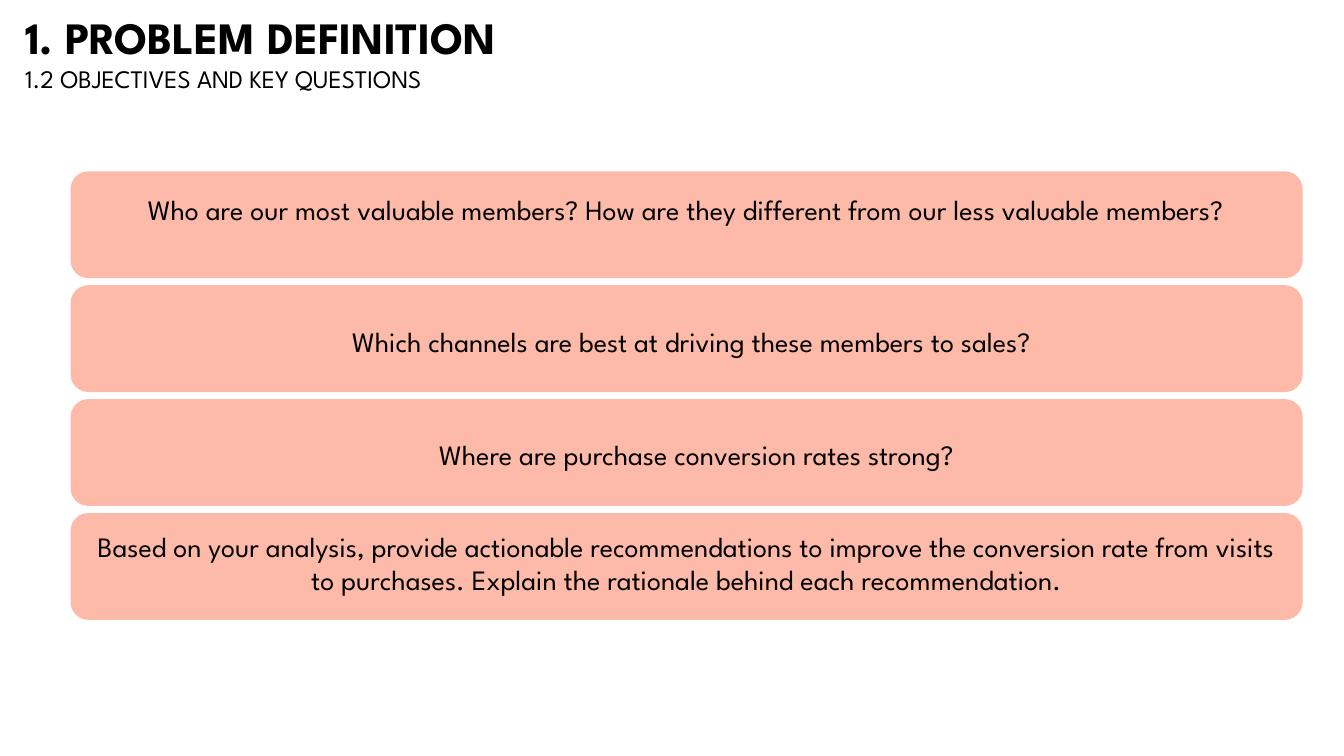
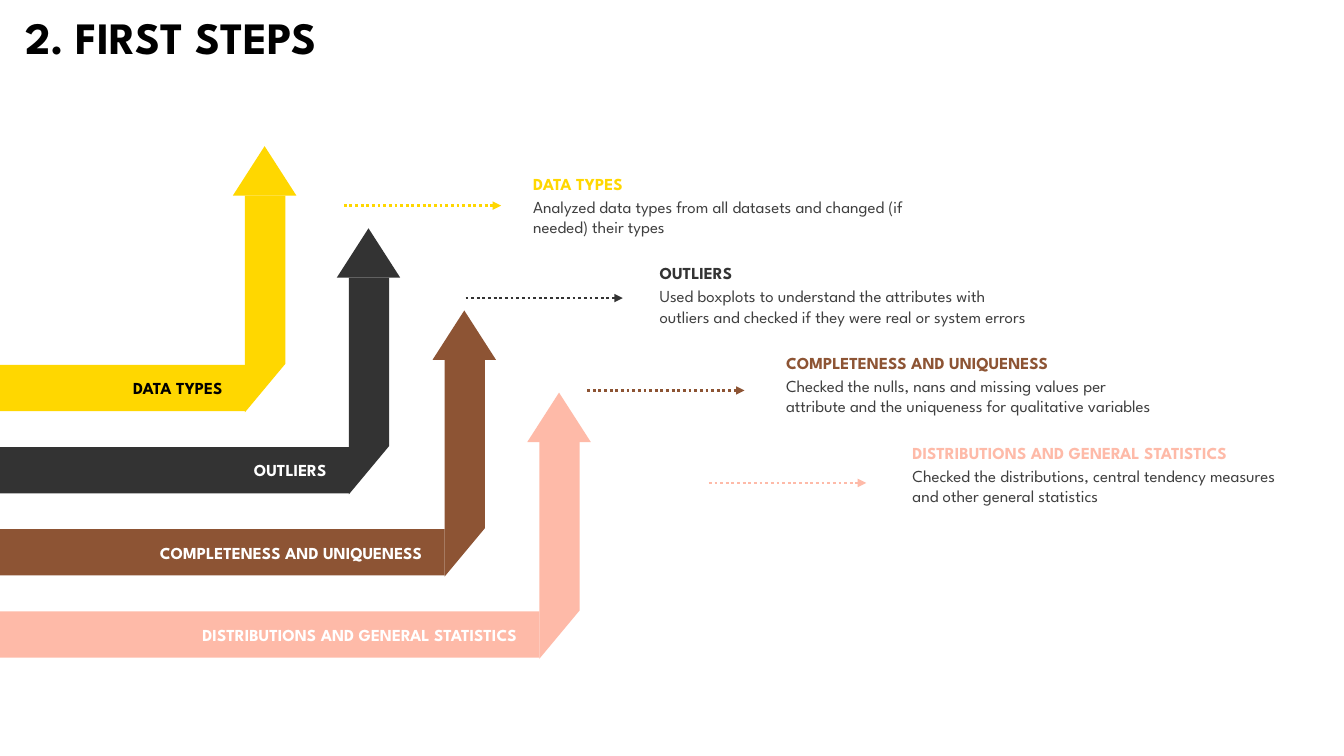
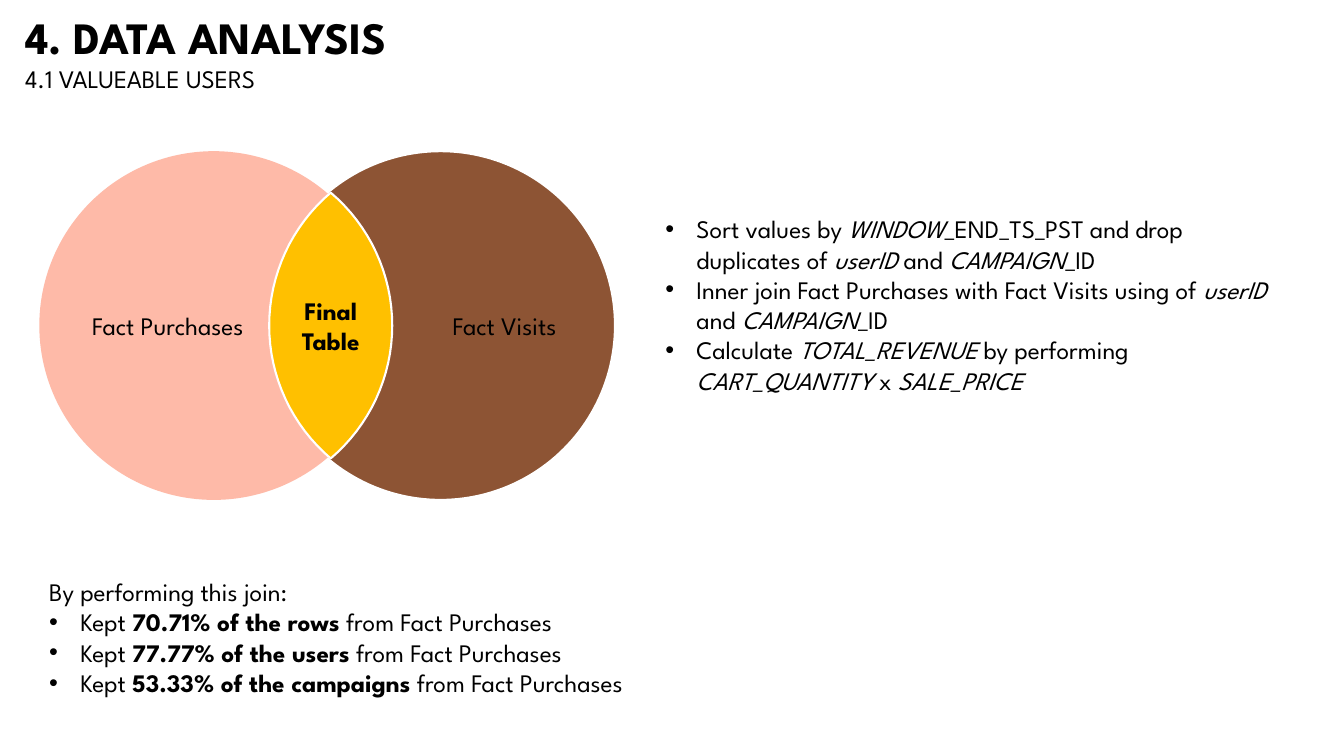
from dataclasses import dataclass
from math import asin, cos, pi, sin
from typing import NamedTuple, Optional, Sequence

from lxml.etree import SubElement
from pptx import Presentation
from pptx.dml.color import RGBColor
from pptx.enum.dml import MSO_LINE
from pptx.enum.shapes import MSO_CONNECTOR, MSO_SHAPE as Preset
from pptx.enum.text import MSO_ANCHOR as Anchor, PP_ALIGN as Align
from pptx.oxml.ns import qn
from pptx.util import Inches, Pt


@dataclass(frozen=True)
class Theme:
    font: str = "League Spartan"
    black: RGBColor = RGBColor(0, 0, 0)
    white: RGBColor = RGBColor(255, 255, 255)
    yellow: RGBColor = RGBColor.from_string("FFD700")
    charcoal: RGBColor = RGBColor.from_string("333333")
    brown: RGBColor = RGBColor.from_string("8D5434")
    salmon: RGBColor = RGBColor.from_string("FEBAA8")
    amber: RGBColor = RGBColor.from_string("FFC000")
    grey: RGBColor = RGBColor.from_string("404040")
    title_size: float = 32
    question_size: float = 20
    body_size: float = 18
    step_size: float = 12
    bullet_indent: float = 0.31


THEME = Theme()


class Box(NamedTuple):
    left: float
    top: float
    width: float
    height: float

    def emu(self) -> list:
        return [Inches(length) for length in self]


class Run(NamedTuple):
    text: str
    bold: bool = False
    italic: bool = False
    size: Optional[float] = None


class Para(NamedTuple):
    runs: Sequence[Run]
    bullet: bool = False


class Question(NamedTuple):
    text: str
    box: Box


class Step(NamedTuple):
    name: str
    detail: str
    colour: RGBColor
    label_colour: RGBColor
    arrow_left: float


def italic(text: str) -> Run:
    return Run(text, italic=True)


def bold(text: str) -> Run:
    return Run(text, bold=True)


def bullet(*runs: Run) -> Para:
    return Para(runs, bullet=True)


def add_bullet(paragraph) -> None:
    properties = paragraph._p.get_or_add_pPr()
    indent = Inches(THEME.bullet_indent)
    properties.set("marL", str(indent))
    properties.set("indent", str(-indent))
    SubElement(properties, qn("a:buFont")).set("typeface", "Arial")
    SubElement(properties, qn("a:buChar")).set("char", "•")


def fill_text(frame, paras: Sequence[Para], size: float,
              colour: RGBColor = THEME.black, align: Align = Align.LEFT) -> None:
    frame.word_wrap = True
    for index, para in enumerate(paras):
        paragraph = frame.add_paragraph() if index else frame.paragraphs[0]
        paragraph.alignment = align
        if para.bullet:
            add_bullet(paragraph)
        for part in para.runs:
            run = paragraph.add_run()
            run.text = part.text
            font = run.font
            font.name, font.size = THEME.font, Pt(part.size or size)
            font.bold, font.italic = part.bold, part.italic
            font.color.rgb = colour


def add_text(slide, box: Box, paras: Sequence[Para], size: float,
             colour: RGBColor = THEME.black, align: Align = Align.LEFT) -> None:
    frame = slide.shapes.add_textbox(*box.emu()).text_frame
    fill_text(frame, paras, size, colour, align)


def paint(shape, colour: RGBColor, outline: Optional[RGBColor] = None) -> None:
    shape.shadow.inherit = False
    shape.fill.solid()
    shape.fill.fore_color.rgb = colour
    if outline is None:
        shape.line.fill.background()
    else:
        shape.line.color.rgb = outline
        shape.line.width = Pt(1.5)


def add_preset(slide, kind: Preset, box: Box, colour: RGBColor,
               outline: Optional[RGBColor] = None):
    shape = slide.shapes.add_shape(kind, *box.emu())
    paint(shape, colour, outline)
    return shape


def add_outline(slide, points: Sequence[tuple], colour: RGBColor,
                outline: Optional[RGBColor] = None) -> None:
    """Draw a closed polygon through points given in inches."""
    corners = [(Inches(x), Inches(y)) for x, y in points]
    builder = slide.shapes.build_freeform(*corners[0])
    builder.add_line_segments(corners[1:], close=True)
    paint(builder.convert_to_shape(), colour, outline)


def add_dotted_arrow(slide, left: float, y: float, length: float,
                     colour: RGBColor) -> None:
    arrow = slide.shapes.add_connector(
        MSO_CONNECTOR.STRAIGHT, Inches(left), Inches(y), Inches(left + length), Inches(y))
    arrow.line.color.rgb = colour
    arrow.line.width = Pt(2)
    arrow.line.dash_style = MSO_LINE.ROUND_DOT
    SubElement(arrow.line._get_or_add_ln(), qn("a:tailEnd")).set("type", "triangle")
    SubElement(arrow._element.spPr, qn("a:effectLst"))


def add_titled_slide(deck, title: str, width: float, subtitle: str = ""):
    slide = deck.slides.add_slide(deck.slide_layouts[6])
    paras = [Para([Run(title, bold=True, size=THEME.title_size)])]
    if subtitle:
        paras.append(Para([Run(subtitle)]))
    add_text(slide, Box(0.15, 0.05, width, 0.94 if subtitle else 0.64), paras, THEME.body_size)
    return slide


QUESTIONS = [
    Question("Who are our most valuable members? How are they different from our less "
             "valuable members?", Box(0.92, 1.86, 11.77, 0.77)),
    Question("Which channels are best at driving these members to sales?",
             Box(2.46, 3.17, 8.8, 0.44)),
    Question("Where are purchase conversion rates strong?", Box(0.41, 4.29, 13, 0.44)),
    Question("Based on your analysis, provide actionable recommendations to improve the "
             "conversion rate from visits to purchases. Explain the rationale behind each "
             "recommendation.", Box(0.81, 5.2, 12, 0.77)),
]

STEPS = [
    Step("DATA TYPES",
         "Analyzed data types from all datasets and changed (if needed) their types",
         THEME.yellow, THEME.black, 2.31),
    Step("OUTLIERS",
         "Used boxplots to understand the attributes with outliers and checked if they "
         "were real or system errors",
         THEME.charcoal, THEME.white, 3.34),
    Step("COMPLETENESS AND UNIQUENESS",
         "Checked the nulls, nans and missing values per attribute and the uniqueness "
         "for qualitative variables",
         THEME.brown, THEME.white, 4.29),
    Step("DISTRIBUTIONS AND GENERAL STATISTICS",
         "Checked the distributions, central tendency measures and other general statistics",
         THEME.salmon, THEME.white, 5.23),
]

PREPARATION = [
    bullet(Run("Sort values by "), italic("WINDOW"), Run("_END_TS_PST and drop duplicates of "),
           italic("userID"), Run(" and "), italic("CAMPAIGN"), Run("_ID")),
    bullet(Run("Inner join Fact Purchases with Fact Visits using of "), italic("userID"),
           Run(" and "), italic("CAMPAIGN"), Run("_ID")),
    bullet(Run("Calculate "), italic("TOTAL_REVENUE "), Run("by performing "),
           italic("CART_QUANTITY "), Run("x "), italic("SALE_PRICE")),
]

KEPT_SHARES = ["70.71% of the rows", "77.77% of the users", "53.33% of the campaigns"]


def build_questions(deck) -> None:
    slide = add_titled_slide(deck, "1. PROBLEM DEFINITION", 5.54,
                             "1.2 OBJECTIVES AND KEY QUESTIONS")
    for index, question in enumerate(QUESTIONS):
        add_preset(slide, Preset.ROUNDED_RECTANGLE,
                   Box(0.7, 1.7 + 1.13 * index, 12.22, 1.06), THEME.salmon)
        add_text(slide, question.box, [Para([Run(question.text)])],
                 THEME.question_size, align=Align.CENTER)


def add_bent_arrow(slide, step: Step, top: float) -> None:
    """Draw a labelled band from the slide's edge that folds up into an arrow."""
    head = Box(step.arrow_left, top, 0.63, 0.49)
    shaft_left, shaft_right = head.left + 0.12, head.left + 0.52
    shaft_top = head.top + head.height
    band = add_preset(slide, Preset.RECTANGLE,
                      Box(0, top + 2.17, shaft_left, 0.46), step.colour)
    frame = band.text_frame
    frame.vertical_anchor = Anchor.MIDDLE
    frame.margin_right = Inches(0.22)
    fill_text(frame, [Para([bold(step.name)])], THEME.step_size,
              step.label_colour, Align.RIGHT)
    add_outline(slide, [(shaft_right, shaft_top), (shaft_right, shaft_top + 1.67),
                        (shaft_left, shaft_top + 2.15), (shaft_left, shaft_top)], step.colour)
    add_preset(slide, Preset.ISOSCELES_TRIANGLE, head, step.colour)


def build_first_steps(deck) -> None:
    slide = add_titled_slide(deck, "2. FIRST STEPS", 3.47)
    for index, step in enumerate(STEPS):
        add_bent_arrow(slide, step, 1.45 + 0.815 * index)
        left, top = 5.19 + 1.254 * index, 1.67 + 0.89 * index
        add_text(slide, Box(left, top + 0.23, 3.96, 0.5), [Para([Run(step.detail)])],
                 THEME.step_size, THEME.grey)
        add_text(slide, Box(left, top, 3.96, 0.3), [Para([bold(step.name)])],
                 THEME.step_size, step.colour)
        add_dotted_arrow(slide, 3.41 + 1.207 * index, 2.04 + 0.917 * index, 1.56, step.colour)


def lens_points(centre_x: float, centre_y: float, radius: float, half_width: float) -> list:
    """Trace the overlap of two equal circles, clockwise from the top."""
    offset = radius - half_width
    reach = pi / 2 - asin(offset / radius)
    segments = 32
    angles = [-reach + 2 * reach * n / segments for n in range(segments)]
    return [(centre_x + side * (radius * cos(angle) - offset),
             centre_y + side * radius * sin(angle))
            for side in (1, -1) for angle in angles]


def build_data_analysis(deck) -> None:
    slide = add_titled_slide(deck, "4. DATA ANALYSIS", 4.2, "4.1 VALUEABLE USERS")
    add_text(slide, Box(6.5, 2.07, 6.17, 1.92), PREPARATION, THEME.body_size)

    diameter, top = 3.46, 1.5
    add_preset(slide, Preset.OVAL, Box(2.64, top, diameter, diameter),
               THEME.brown, THEME.white)
    add_preset(slide, Preset.OVAL, Box(0.39, top, diameter, diameter), THEME.salmon)
    add_outline(slide, lens_points(3.28, top + diameter / 2, diameter / 2, 0.61),
                THEME.amber, THEME.white)
    for label, box in [(Run("Fact Purchases"), Box(0.56, 3.03, 2.21, 0.4)),
                       (Run("Fact Visits"), Box(3.93, 3.03, 2.15, 0.4)),
                       (bold("Final Table"), Box(2.67, 2.88, 1.22, 0.71))]:
        add_text(slide, box, [Para([label])], THEME.body_size, align=Align.CENTER)

    results = [Para([Run("By performing this join:")])]
    results += [bullet(Run("Kept "), bold(share), Run(" from Fact Purchases"))
                for share in KEPT_SHARES]
    add_text(slide, Box(0.39, 5.67, 7.13, 1.31), results, THEME.body_size)


def main() -> None:
    deck = Presentation()
    deck.slide_width, deck.slide_height = Inches(13.33), Inches(7.5)
    build_questions(deck)
    build_first_steps(deck)
    build_data_analysis(deck)
    deck.save("out.pptx")


if __name__ == "__main__":
    main()
